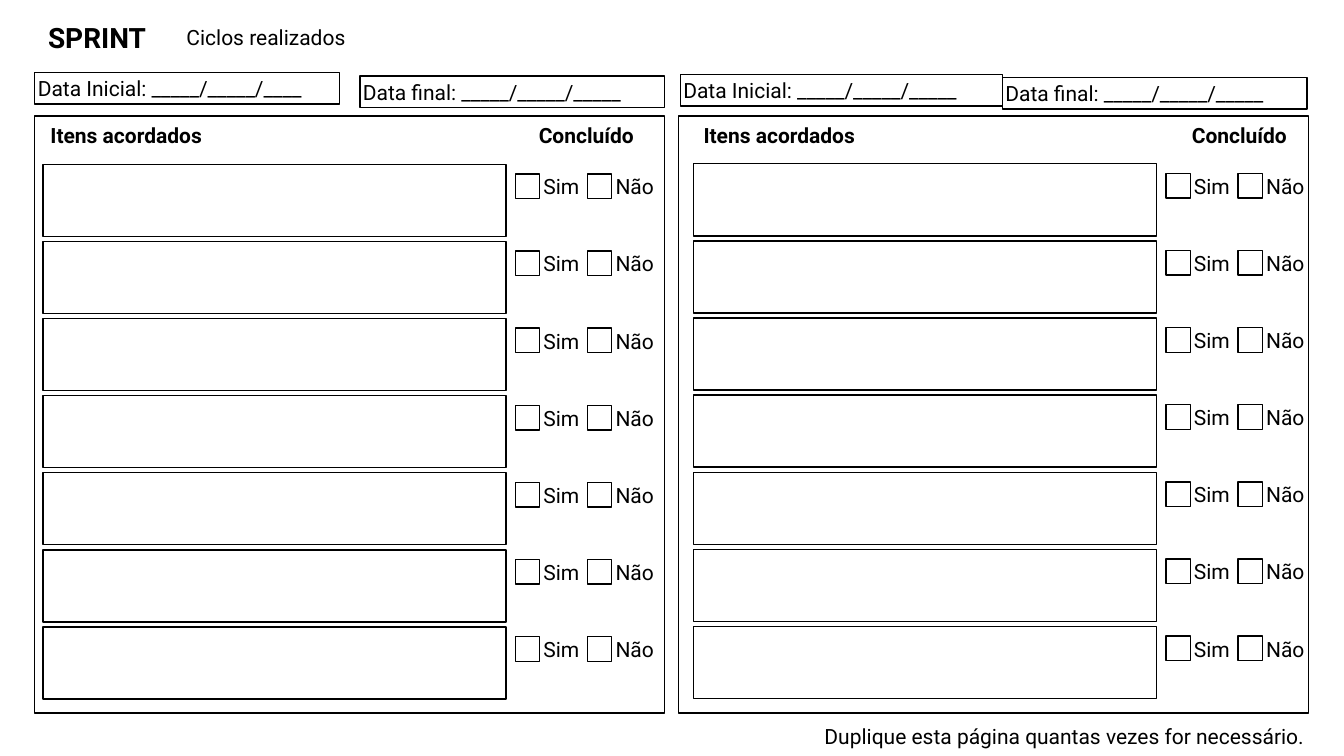
from pptx import Presentation
from pptx import util as u
from pptx.dml import color
from pptx.enum import shapes, text

ROWS = 7
ROW_PITCH = 1.53


def rgb(hex_code):
    return color.RGBColor.from_string(hex_code)


class SprintSheet:
    """Holds the style and the current slide of the sprint form."""

    font = "Roboto"
    ink = "000000"
    paper = "FFFFFF"
    body_size = 30
    inset = 0.06

    def __init__(self, slide):
        self.slide = slide

    def set_wording(self, shape, wording, size=body_size, bold=False, align=text.PP_ALIGN.LEFT, wrap=True):
        frame = shape.text_frame
        frame.margin_left = frame.margin_right = u.Inches(self.inset)
        frame.margin_top = frame.margin_bottom = u.Inches(self.inset)
        frame.vertical_anchor = text.MSO_ANCHOR.MIDDLE
        frame.word_wrap = wrap
        frame.auto_size = text.MSO_AUTO_SIZE.SHAPE_TO_FIT_TEXT
        paragraph = frame.paragraphs[0]
        paragraph.text = wording
        paragraph.alignment = align
        paragraph.font.name = self.font
        paragraph.font.size = u.Pt(size)
        paragraph.font.bold = bold
        paragraph.font.color.rgb = rgb(self.ink)

    def label(self, wording, left, top, width, height=0.6, **style):
        box = self.slide.shapes.add_textbox(*map(u.Inches, (left, top, width, height)))
        self.set_wording(box, wording, **style)

    def centred(self, wording, left, top, width, height=0.6, **style):
        self.label(wording, left, top, width, height, align=text.PP_ALIGN.CENTER, wrap=False, **style)

    def box(self, left, top, width, height, filled=True):
        frame = self.slide.shapes.add_shape(
            shapes.MSO_SHAPE.RECTANGLE, *map(u.Inches, (left, top, width, height)))
        frame.shadow.inherit = False
        if filled:
            frame.fill.solid()
            frame.fill.fore_color.rgb = rgb(self.paper)
        else:
            frame.fill.background()
        frame.line.color.rgb = rgb(self.ink)
        frame.line.width = u.Pt(2)
        return frame

    def date_field(self, wording, left, top, width):
        self.set_wording(self.box(left, top, width, 0.62, filled=False), wording)

    def option(self, wording, left, top, width):
        self.box(left, top, 0.48, 0.49)
        self.centred(wording, left + 0.49, top - 0.05, width)

    def item_row(self, left, top):
        self.box(left, top, 9.19, 1.43)
        self.option("Sim", left + 9.38, top + 0.19, 0.84)
        self.option("Não", left + 10.81, top + 0.19, 0.89)

    def cycle(self, panel_left, heading_left, rows_left, rows_top):
        self.box(panel_left, 2.3, 12.5, 11.85)
        self.centred("Itens acordados", heading_left, 2.39, 3.33, bold=True)
        self.centred("Concluído", heading_left + 9.72, 2.39, 2.15, bold=True)
        for row in range(ROWS):
            self.item_row(rows_left, rows_top + row * ROW_PITCH)


def main():
    deck = Presentation()
    deck.slide_width = u.Inches(26.67)
    deck.slide_height = u.Inches(15)
    sheet = SprintSheet(deck.slides.add_slide(deck.slide_layouts[6]))

    sheet.centred("SPRINT", 0.84, 0.35, 2.17, 0.78, size=40, bold=True)
    sheet.label("Ciclos realizados", 3.64, 0.44, 3.85)

    sheet.date_field("Data Inicial: _____/_____/____", 0.69, 1.44, 6.05)
    sheet.date_field("Data final: _____/_____/_____", 7.14, 1.51, 6.05)
    sheet.date_field("Data Inicial: _____/_____/_____", 13.5, 1.48, 6.39)
    sheet.date_field("Data final: _____/_____/_____", 19.89, 1.54, 6.05)

    sheet.cycle(panel_left=0.69, heading_left=0.84, rows_left=0.85, rows_top=3.26)
    sheet.cycle(panel_left=13.47, heading_left=13.8, rows_left=13.76, rows_top=3.25)

    sheet.label("Duplique esta página quantas vezes for necessário.", 0.87, 14.31, 25.07,
                align=text.PP_ALIGN.RIGHT)
    deck.save("out.pptx")


if __name__ == "__main__":
    main()
